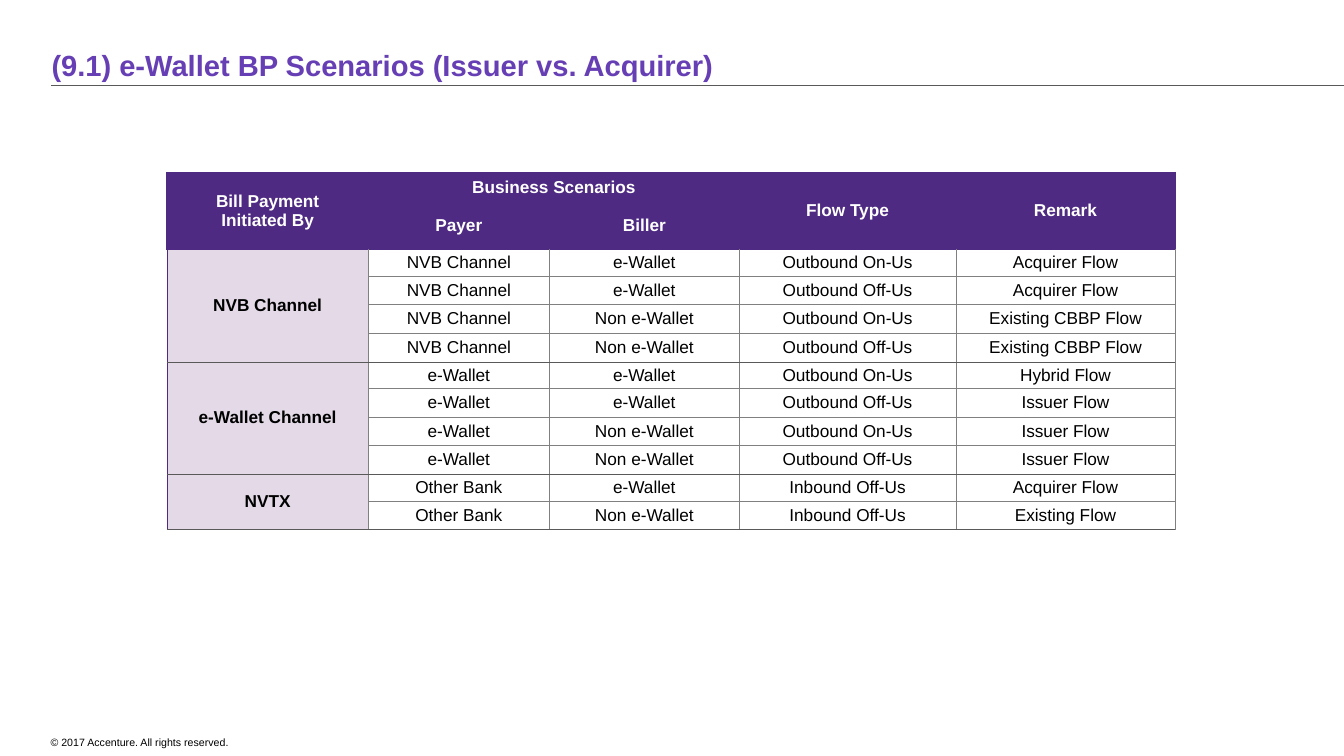
"""Build the e-Wallet bill payment scenarios slide."""
from dataclasses import dataclass

from lxml import etree
from pptx import Presentation
from pptx.dml.color import RGBColor
from pptx.enum import shapes, text
from pptx.oxml import ns
from pptx.util import Inches, Pt

TITLE = "(9.1) e-Wallet BP Scenarios (Issuer vs. Acquirer)"
COPYRIGHT = "© 2017 Accenture. All rights reserved."
HEADERS = [
    ("Bill Payment\nInitiated By", "Business Scenarios", "", "Flow Type", "Remark"),
    ("", "Payer", "Biller", "", ""),
]
HEADER_MERGES = [((0, 0), (1, 0)), ((0, 1), (0, 2)), ((0, 3), (1, 3)), ((0, 4), (1, 4))]
CHANNELS = [
    ("NVB Channel", [
        ("NVB Channel", "e-Wallet", "Outbound On-Us", "Acquirer Flow"),
        ("NVB Channel", "e-Wallet", "Outbound Off-Us", "Acquirer Flow"),
        ("NVB Channel", "Non e-Wallet", "Outbound On-Us", "Existing CBBP Flow"),
        ("NVB Channel", "Non e-Wallet", "Outbound Off-Us", "Existing CBBP Flow"),
    ]),
    ("e-Wallet Channel", [
        ("e-Wallet", "e-Wallet", "Outbound On-Us", "Hybrid Flow"),
        ("e-Wallet", "e-Wallet", "Outbound Off-Us", "Issuer Flow"),
        ("e-Wallet", "Non e-Wallet", "Outbound On-Us", "Issuer Flow"),
        ("e-Wallet", "Non e-Wallet", "Outbound Off-Us", "Issuer Flow"),
    ]),
    ("NVTX", [
        ("Other Bank", "e-Wallet", "Inbound Off-Us", "Acquirer Flow"),
        ("Other Bank", "Non e-Wallet", "Inbound Off-Us", "Existing Flow"),
    ]),
]
COLUMN_WIDTHS = [2.11, 1.9, 1.99, 2.27, 2.3]
HEADER_HEIGHTS = [0.31, 0.47]
FIRST_ROW_HEIGHT, ROW_HEIGHT = 0.28, 0.3


@dataclass(frozen=True)
class Theme:
    """Colours, font and type sizes."""
    font: str = "Arial"
    title: str = "673FB4"
    header: str = "4E2A82"
    channel: str = "E3D9E7"
    white: str = "FFFFFF"
    black: str = "000000"
    rule: str = "595959"
    grid: str = "808080"
    title_size: float = 22
    table_size: float = 13
    footer_size: float = 8


THEME = Theme()
HEADER_LINE = (THEME.header, 1)
GRID_LINE = (THEME.grid, 0.25)
GROUP_LINE = (THEME.rule, 0.25)


def style_paragraph(paragraph, size, color, bold=False):
    """Set the font of a whole paragraph."""
    font = paragraph.font
    font.name, font.size, font.bold = THEME.font, Pt(size), bold
    font.color.rgb = RGBColor.from_string(color)


def set_insets(target, left, top, right, bottom):
    """Set the inner margins of a cell or text frame."""
    target.margin_left, target.margin_top = Inches(left), Inches(top)
    target.margin_right, target.margin_bottom = Inches(right), Inches(bottom)


def set_borders(cell, left, top, right, bottom):
    """Draw the four borders of a cell."""
    properties = cell._tc.get_or_add_tcPr()
    for side, (color, width) in zip("LTRB", (left, top, right, bottom)):
        line = etree.SubElement(properties, ns.qn(f"a:ln{side}"), w=str(Pt(width)))
        fill = etree.SubElement(line, ns.qn("a:solidFill"))
        etree.SubElement(fill, ns.qn("a:srgbClr"), val=color)


def write_cell(cell, content, fill, color, bold, borders):
    """Fill one table cell with centred text."""
    set_borders(cell, *borders)
    cell.fill.solid()
    cell.fill.fore_color.rgb = RGBColor.from_string(fill)
    cell.vertical_anchor = text.MSO_ANCHOR.MIDDLE
    set_insets(cell, 0.04, 0.03, 0.04, 0.03)
    cell.text_frame.text = content
    for paragraph in cell.text_frame.paragraphs:
        paragraph.alignment = text.PP_ALIGN.CENTER
        style_paragraph(paragraph, THEME.table_size, color, bold)


def add_title(slide):
    """Place the title and the rule beneath it."""
    title = slide.shapes.title
    title.left, title.top = Inches(0.54), Inches(0.2)
    title.width, title.height = Inches(12.99), Inches(0.66)
    frame = title.text_frame
    frame.text = TITLE
    frame.auto_size = text.MSO_AUTO_SIZE.NONE
    frame.vertical_anchor = text.MSO_ANCHOR.BOTTOM
    set_insets(frame, 0, 0.07, 0, 0)
    frame.paragraphs[0].alignment = text.PP_ALIGN.LEFT
    style_paragraph(frame.paragraphs[0], THEME.title_size, THEME.title, True)
    rule = slide.shapes.add_connector(
        shapes.MSO_CONNECTOR.STRAIGHT, Inches(0.54), Inches(0.9), Inches(14.09), Inches(0.9))
    rule.line.color.rgb = RGBColor.from_string(THEME.rule)
    rule.line.width = Pt(1)
    etree.SubElement(rule._element.spPr, ns.qn("a:effectLst"))


def add_footer(slide):
    """Place the copyright line."""
    footer = slide.shapes.add_textbox(Inches(0.53), Inches(7.68), Inches(4.28), Inches(0.2))
    frame = footer.text_frame
    frame.word_wrap = True
    set_insets(frame, 0, 0.04, 0, 0)
    frame.text = COPYRIGHT
    style_paragraph(frame.paragraphs[0], THEME.footer_size, THEME.black)


def add_scenarios(slide):
    """Place the scenario table, one merged label per channel."""
    heights = HEADER_HEIGHTS + [
        ROW_HEIGHT if index else FIRST_ROW_HEIGHT
        for _, scenarios in CHANNELS for index in range(len(scenarios))]
    frame = slide.shapes.add_table(
        len(heights), len(COLUMN_WIDTHS), Inches(1.75), Inches(1.81),
        Inches(sum(COLUMN_WIDTHS)), Inches(sum(heights)))
    table = frame.table
    table.first_row = table.horz_banding = False
    for column, width in zip(table.columns, COLUMN_WIDTHS):
        column.width = Inches(width)
    for row, height in zip(table.rows, heights):
        row.height = Inches(height)

    for row, labels in enumerate(HEADERS):
        for column, label in enumerate(labels):
            write_cell(table.cell(row, column), label, THEME.header, THEME.white, True,
                       [HEADER_LINE] * 4)
    for first, last in HEADER_MERGES:
        table.cell(*first).merge(table.cell(*last))

    start = len(HEADERS)
    for channel, scenarios in CHANNELS:
        last = len(scenarios) - 1
        group_top = HEADER_LINE if start == len(HEADERS) else GROUP_LINE
        for index, scenario in enumerate(scenarios):
            top = GRID_LINE if index else group_top
            bottom = GROUP_LINE if index == last else GRID_LINE
            write_cell(table.cell(start + index, 0), "" if index else channel,
                       THEME.channel, THEME.black, True,
                       [(THEME.header, 0.25), group_top, GRID_LINE, GROUP_LINE])
            for column, value in enumerate(scenario, 1):
                write_cell(table.cell(start + index, column), value, THEME.white,
                           THEME.black, False, [GRID_LINE, top, GRID_LINE, bottom])
        table.cell(start, 0).merge(table.cell(start + last, 0))
        start += len(scenarios)


def main():
    """Build and save the presentation."""
    presentation = Presentation()
    presentation.slide_width, presentation.slide_height = Inches(14.09), Inches(7.93)
    slide = presentation.slides.add_slide(presentation.slide_layouts.get_by_name("Title Only"))
    add_title(slide)
    add_footer(slide)
    add_scenarios(slide)
    presentation.save("out.pptx")


if __name__ == "__main__":
    main()
